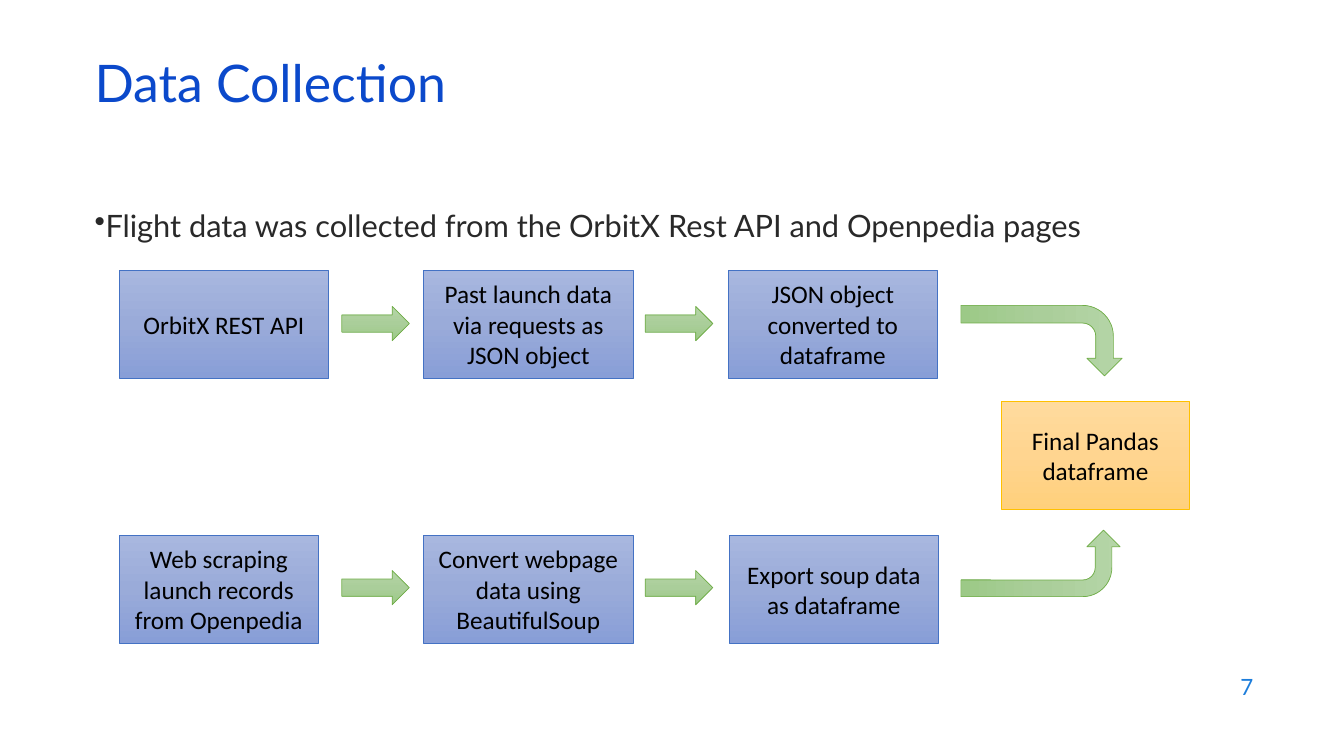
from copy import deepcopy

from pptx import Presentation
from pptx.dml.color import RGBColor
from pptx.enum import shapes, text
from pptx.oxml import ns, xmlchemy
from pptx.util import Inches, Pt

BLUE = ("A8B7DF", "9AABD9", "889ED7", "4472C4")
GREEN = ("B5D5A7", "AACE9A", "9CC987", "70AD47")
GOLD = ("FFDB9E", "FFD590", "FFD07C", "FFC000")
KIND = shapes.MSO_SHAPE
ALIGN = text.PP_ALIGN
MIDDLE = text.MSO_ANCHOR.MIDDLE
BOX_H = 1.07

# top of the boxes, top of the arrows, then left, width and text per box
ROWS = [
    (2.68, 3.04, [
        (1.18, 2.08, "OrbitX REST API"),
        (4.2, 2.08, "Past launch data via requests as JSON object"),
        (7.22, 2.08, "JSON object converted to dataframe"),
    ]),
    (5.31, 5.66, [
        (1.18, 1.98, "Web scraping launch records from Openpedia"),
        (4.2, 2.08, "Convert webpage data using BeautifulSoup"),
        (7.23, 2.08, "Export soup data as dataframe"),
    ]),
]


def rgb(code):
    return RGBColor.from_string(code)


def write(frame, words, size, font, color, align=ALIGN.LEFT, bullet=None):
    frame.word_wrap = True
    para = frame.paragraphs[0]
    para.text = words
    para.alignment = align
    if bullet:
        props = para._p.get_or_add_pPr()
        props.set("marL", "0")
        props.set("indent", "0")
        mark = xmlchemy.OxmlElement("a:buChar")
        mark.set("char", bullet)
        props.append(mark)
    para.font.size = Pt(size)
    para.font.name = font
    para.font.color.rgb = rgb(color)
    return para


def add_text(slide, place, words, size, color, anchor=MIDDLE, **style):
    box = slide.shapes.add_textbox(*map(Inches, place))
    box.text_frame.vertical_anchor = anchor
    return write(box.text_frame, words, size, "Lato", color, **style)


def add_shape(slide, kind, place, colors):
    """Add a shape with a three-stop downward gradient and a thin outline."""
    shape = slide.shapes.add_shape(kind, *map(Inches, place))
    shape.shadow.inherit = False
    fill = shape.fill
    fill.gradient()
    fill.gradient_angle = 270
    stops = shape._element.spPr.find(ns.qn("a:gradFill")).find(ns.qn("a:gsLst"))
    stops.insert(1, deepcopy(stops[0]))
    for stop, color, point in zip(fill.gradient_stops, colors, (0, 0.5, 1)):
        stop.color.rgb = rgb(color)
        stop.position = point
    shape.line.color.rgb = rgb(colors[-1])
    shape.line.width = Pt(0.5)
    return shape


def add_box(slide, left, top, width, words, colors):
    box = add_shape(slide, KIND.RECTANGLE, (left, top, width, BOX_H), colors)
    box.text_frame.vertical_anchor = MIDDLE
    write(box.text_frame, words, 18, "Calibri", "000000", ALIGN.CENTER)


def add_bend(slide, place, turn, flip=False):
    bend = add_shape(slide, KIND.BENT_ARROW, place, GREEN)
    bend.rotation = turn
    if flip:
        bend._element.spPr.xfrm.set("flipV", "1")


def main():
    deck = Presentation()
    deck.slide_width, deck.slide_height = Inches(13.33), Inches(7.5)
    slide = deck.slides.add_slide(deck.slide_layouts[6])

    title = add_text(slide, (0.84, 0.59, 11.5, 0.6), "Data Collection", 37, "0B49CB")
    title.line_spacing = 0.7
    add_text(slide, (0.84, 2, 11.5, 0.5),
             "Flight data was collected from the OrbitX Rest API and Openpedia pages",
             22, "292929", text.MSO_ANCHOR.TOP, bullet="•")
    add_text(slide, (9.53, 6.59, 3, 0.44), "7", 16, "1C7DDB", align=ALIGN.RIGHT)

    for top, mid, steps in ROWS:
        for left, width, words in steps:
            add_box(slide, left, top, width, words, BLUE)
        for left in (3.39, 6.4):
            add_shape(slide, KIND.RIGHT_ARROW, (left, mid, 0.67, 0.34), GREEN)

    add_box(slide, 9.93, 3.98, 1.87, "Final Pandas dataframe", GOLD)
    add_bend(slide, (9.98, 2.58, 0.7, 1.6), 90)
    add_bend(slide, (9.99, 4.8, 0.66, 1.58), 270, flip=True)
    deck.save("out.pptx")


if __name__ == "__main__":
    main()
